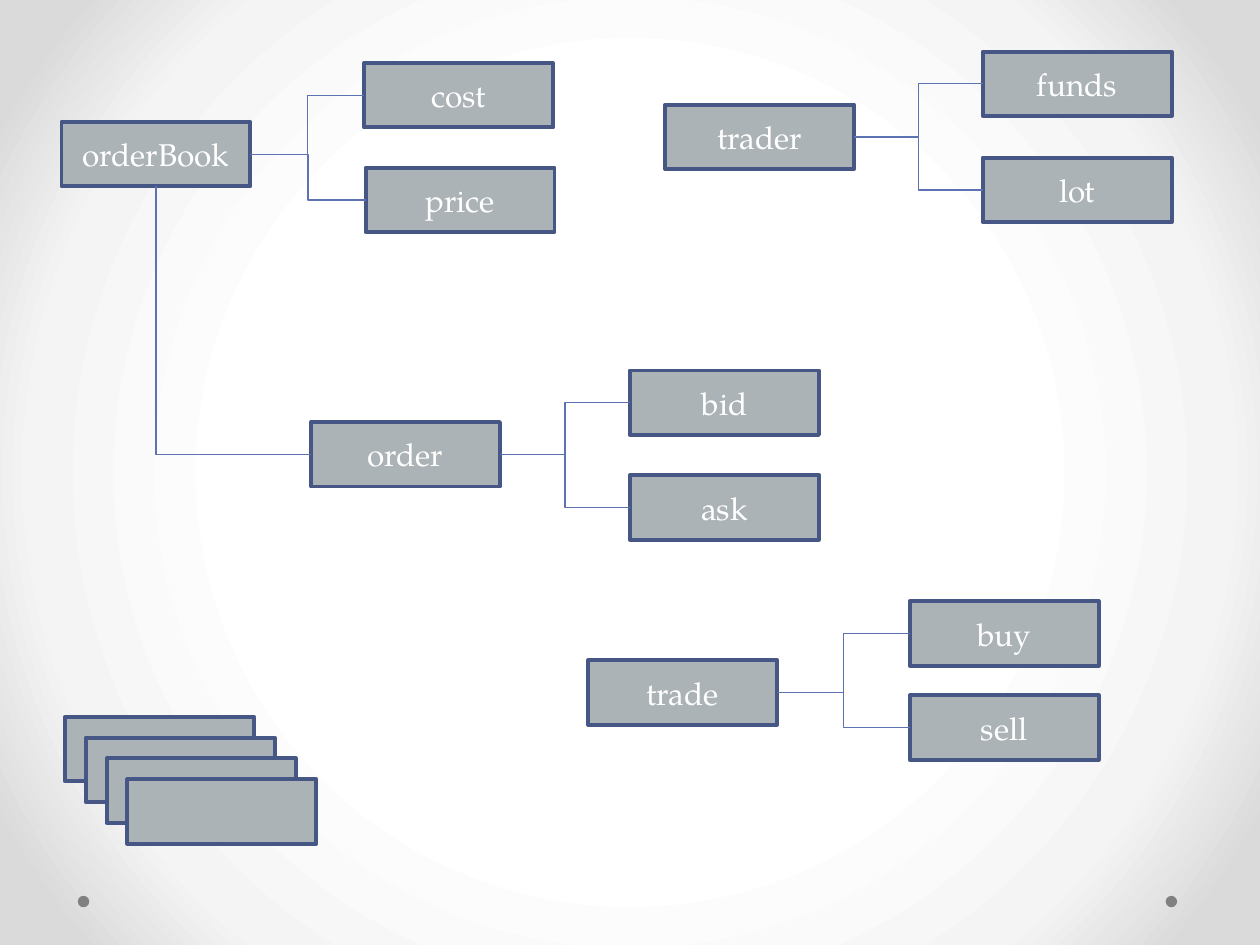
from pptx import Presentation
from pptx.dml.color import RGBColor
from pptx.enum.shapes import MSO_CONNECTOR, MSO_SHAPE
from pptx.enum.text import MSO_ANCHOR, PP_ALIGN
from pptx.oxml import parse_xml
from pptx.oxml.ns import nsdecls, qn
from pptx.util import Cm, Pt

COLORS = {"box": "ACB3B6", "border": "475785", "link": "5C72B2",
          "text": "FFFFFF", "dot": "808080"}
FONT = "TeX Gyre Pagella"
BOX_W, BOX_H = Cm(3.81), Cm(1.3)

prs = Presentation()
prs.slide_width, prs.slide_height = Cm(25.4), Cm(19.05)
s = prs.slides.add_slide(prs.slide_layouts[6])

# Background: radial gradient, white in the middle
s.background.fill.gradient()
grad = s.element.find(".//" + qn("a:gradFill"))
stops = "".join(
    f'<a:gs pos="{pos}000"><a:srgbClr val="{color}"/></a:gs>'
    for pos, color in [(50, "FFFFFF"), (76, "F4F4F4"), (92, "DADADA")])
grad.getparent().replace(grad, parse_xml(
    f'<a:gradFill {nsdecls("a")} rotWithShape="1"><a:gsLst>{stops}</a:gsLst>'
    '<a:path path="circle"><a:fillToRect l="50000" t="50000" r="50000" b="50000"/>'
    '</a:path></a:gradFill>'))

for x in (1.57, 23.5):
    dot = s.shapes.add_shape(MSO_SHAPE.OVAL, Cm(x), Cm(18.06), Cm(0.23), Cm(0.23))
    dot.shadow.inherit = False
    dot.fill.solid()
    dot.fill.fore_color.rgb = RGBColor.from_string(COLORS["dot"])
    dot.line.fill.background()


def add_box(x, y, text=""):
    sp = s.shapes.add_shape(MSO_SHAPE.RECTANGLE, Cm(x), Cm(y), BOX_W, BOX_H)
    sp.shadow.inherit = False
    sp.fill.solid()
    sp.fill.fore_color.rgb = RGBColor.from_string(COLORS["box"])
    sp.line.color.rgb = RGBColor.from_string(COLORS["border"])
    sp.line.width = Pt(2.25)
    if text:
        tf = sp.text_frame
        tf.text = text
        tf.vertical_anchor = MSO_ANCHOR.MIDDLE
        p = tf.paragraphs[0]
        p.alignment = PP_ALIGN.CENTER
        font = p.runs[0].font
        font.name, font.size = FONT, Pt(18)
        font.color.rgb = RGBColor.from_string(COLORS["text"])
    return sp


def add_link(parent, child, site=3):
    """Elbow from a connection site of parent to the left side of child."""
    link = s.shapes.add_connector(MSO_CONNECTOR.ELBOW, 0, 0, 0, 0)
    link.begin_connect(parent, site)
    link.end_connect(child, 1)
    link.line.color.rgb = RGBColor.from_string(COLORS["link"])
    link.line.width = Pt(0.75)
    link.element.spPr.append(parse_xml(f'<a:effectLst {nsdecls("a")}/>'))
    return link


# Stack of empty boxes
for i in range(4):
    add_box(1.31 + 0.42 * i, 14.45 + 0.42 * i)

nodes = {
    "orderBook": (1.24, 2.46), "cost": (7.34, 1.27), "price": (7.37, 3.38),
    "trader": (13.41, 2.11), "funds": (19.81, 1.04), "lot": (19.81, 3.18),
    "order": (6.27, 8.51), "bid": (12.7, 7.47), "ask": (12.7, 9.58),
    "trade": (11.86, 13.31), "buy": (18.34, 12.12), "sell": (18.34, 14.02),
}
boxes = {name: add_box(x, y, name) for name, (x, y) in nodes.items()}

tree = {"orderBook": ("cost", "price"), "trader": ("funds", "lot"),
        "order": ("bid", "ask"), "trade": ("buy", "sell")}
for parent, children in tree.items():
    for child in children:
        add_link(boxes[parent], boxes[child])

# Single bend from the bottom of orderBook: a rotated, mirrored bentConnector2
book, order = boxes["orderBook"], boxes["order"]
link = add_link(book, order, site=2)
x1, y1 = book.left + BOX_W // 2, book.top + BOX_H
x2, y2 = order.left, order.top + BOX_H // 2
link.width, link.height = y2 - y1, x2 - x1
link.left = (x1 + x2 - link.width) // 2
link.top = (y1 + y2 - link.height) // 2
spPr = link.element.spPr
spPr.find(qn("a:prstGeom")).set("prst", "bentConnector2")
xfrm = spPr.find(qn("a:xfrm"))
xfrm.set("rot", str(270 * 60000))
xfrm.set("flipH", "1")
xfrm.set("flipV", "0")

prs.save("out.pptx")
